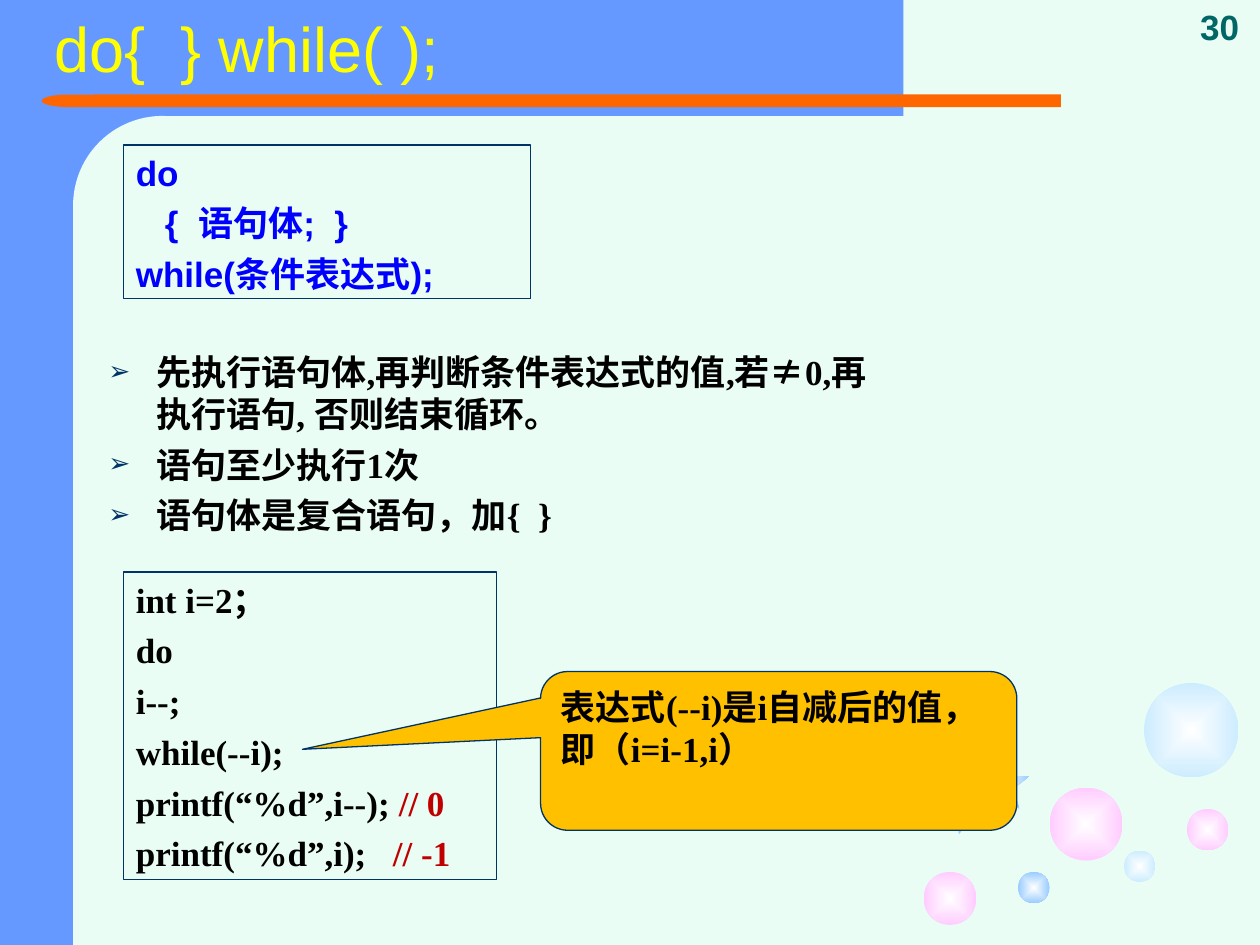
import pptx
import pptx.dml.color
import pptx.enum.shapes
import pptx.enum.text
import pptx.oxml
import pptx.oxml.ns
import pptx.util
import lxml.etree

Inches = pptx.util.Inches
SHAPES = pptx.enum.shapes.MSO_SHAPE
ALIGN = pptx.enum.text.PP_ALIGN
ANCHOR = pptx.enum.text.MSO_ANCHOR

MINT, BLUE, ORANGE, NAVY = "E9FDF4", "6699FF", "FF6600", "003366"
PINK, PALE, SKY = "FFCCFF", "CCECFF", "99CCFF"
RED, BLACK = "C00000", "000000"


def color(value):
    """Turn a hex string into a colour."""
    return pptx.dml.color.RGBColor.from_string(value)


def add_child(parent, tag, **attributes):
    """Append a DrawingML child element."""
    child = lxml.etree.SubElement(parent, pptx.oxml.ns.qn(tag))
    for name, value in attributes.items():
        child.set(name, value)
    return child


def place(part, box):
    """Move a part to a box of left, top, width and height."""
    part.left, part.top, part.width, part.height = map(Inches, box)


def add_bullet(paragraph):
    """Give a paragraph a hanging arrow bullet."""
    properties = paragraph._p.get_or_add_pPr()
    properties.set("marL", str(Inches(0.38)))
    properties.set("indent", str(-Inches(0.38)))
    add_child(add_child(properties, "a:buClr"), "a:srgbClr", val=NAVY)
    add_child(properties, "a:buSzPct", val="75000")
    add_child(properties, "a:buChar", char="➢")


def write_text(part, lines, size=20, font="Times New Roman", ink=BLACK, bold=True,
               align=ALIGN.LEFT, anchor=ANCHOR.TOP, spacing=None, bullets=False):
    """Write lines, each a string or a list of (text, colour) runs."""
    frame = part.text_frame
    frame.word_wrap = True
    frame.auto_size = pptx.enum.text.MSO_AUTO_SIZE.NONE
    frame.vertical_anchor = anchor
    for index, line in enumerate(lines):
        paragraph = frame.add_paragraph() if index else frame.paragraphs[0]
        if bullets:
            add_bullet(paragraph)
        paragraph.alignment = align
        paragraph.space_before = pptx.util.Pt(5 if index else 0)
        if spacing:
            paragraph.line_spacing = spacing
        for text, run_ink in [(line, ink)] if isinstance(line, str) else line:
            run = paragraph.add_run()
            run.text = text
            run.font.name, run.font.size = font, pptx.util.Pt(size)
            run.font.bold = bold
            run.font.color.rgb = color(run_ink)


def add_block(slide, kind, box, fill=None, line=None, adjustments=()):
    """Add a flat shape with an optional fill and outline."""
    block = slide.shapes.add_shape(kind, *map(Inches, box))
    block.shadow.inherit = False
    for index, value in enumerate(adjustments):
        block.adjustments[index] = value
    if fill:
        block.fill.solid()
        block.fill.fore_color.rgb = color(fill)
    else:
        block.fill.background()
    if line:
        block.line.color.rgb = color(line)
        block.line.width = pptx.util.Pt(0.75)
    else:
        block.line.fill.background()
    return block


def add_glow(slide, kind, box, edge, path):
    """Add a shape that fades from a white centre to its edge colour."""
    glow = add_block(slide, kind, box)
    glow.fill.gradient()
    for stop, tint in zip(glow.fill.gradient_stops, ("FFFFFF", edge)):
        stop.color.rgb = color(tint)
    gradient = glow._element.spPr.find(pptx.oxml.ns.qn("a:gradFill"))
    direction = gradient.find(pptx.oxml.ns.qn("a:lin"))
    center = lxml.etree.Element(pptx.oxml.ns.qn("a:path"))
    center.set("path", path)
    add_child(center, "a:fillToRect", l="50000", t="50000", r="50000", b="50000")
    gradient.replace(direction, center)
    return glow


def add_frame(slide, left, top, width, height):
    """Add the blue frame with its rounded corner and the orange rule."""
    add_block(slide, SHAPES.RECTANGLE, (left, top, 1.25, height), BLUE)
    add_block(slide, SHAPES.RECTANGLE, (left + 0.5, top, 6.67, 0.92), BLUE)
    add_block(slide, SHAPES.ROUNDED_RECTANGLE, (left + 0.58, top + 0.92, 1.42, 5.75),
              MINT, adjustments=[0.5])
    add_block(slide, SHAPES.RECTANGLE, (left + 0.75, top + 0.75, 7.67, 0.1), ORANGE)
    rule_end = add_block(slide, SHAPES.FLOWCHART_DELAY,
                         (left + 0.33, top + 0.75, 0.43, 0.1), ORANGE)
    rule_end.rotation = 180
    add_block(slide, SHAPES.RECTANGLE,
              (left + 0.58, top + height - 1.58, 1.42, 1.58), MINT)


def add_bubbles(slide, left, top):
    """Add the bubbles and stars of the lower right corner."""
    for x, y, size, edge in ((1, 0.83, 0.58, PINK), (0, 1.5, 0.42, PINK),
                             (1.59, 1.33, 0.25, PALE), (2.09, 1, 0.33, PINK),
                             (1.75, 0, 0.75, PALE), (0.75, 1.5, 0.25, SKY)):
        add_glow(slide, SHAPES.OVAL, (left + x, top + y, size, size), edge, "shape")
    for x, y, width, height, turn in ((0.42, 0.58, 0.42, 0.42, 0),
                                      (0.07, 0.68, 0.54, 0.5, 270)):
        star = add_glow(slide, SHAPES.STAR_5_POINT,
                        (left + x, top + y, width, height), SKY, "rect")
        star.rotation = turn


def add_heading(slide, title, number, left, top, width):
    """Place the title at the left and the page number at the right."""
    heading = slide.shapes.title
    heading._element.getparent().append(heading._element)
    place(heading, (left + 0.33, top, 8.42, 0.83))
    write_text(heading, [title], size=36, font="Arial", ink="FFFF00", bold=False,
               anchor=ANCHOR.MIDDLE, spacing=0.9)
    page = slide.shapes.add_textbox(*map(Inches, (left + width - 0.64, top, 0.64, 0.43)))
    write_text(page, [number], font="Arial", ink="006666", align=ALIGN.CENTER,
               anchor=ANCHOR.BOTTOM)


def add_rules(slide, lines, box):
    """Place the bulleted rules of the loop."""
    rules = slide.placeholders[1]
    rules._element.getparent().append(rules._element)
    place(rules, box)
    write_text(rules, lines, bullets=True)


def add_code(slide, lines, box, **text_format):
    """Add an outlined box of code."""
    code = add_block(slide, SHAPES.RECTANGLE, box, line=NAVY)
    write_text(code, lines, **text_format)


def add_remark(slide, text, box):
    """Add the callout that points at the loop condition."""
    remark = add_block(slide, SHAPES.ROUNDED_RECTANGULAR_CALLOUT, box, "FFC000", NAVY,
                       (-1, -0.01, 0.17))
    write_text(remark, [text])


def main():
    """Build and save the slide."""
    deck = pptx.Presentation()
    deck.slide_width, deck.slide_height = Inches(10), Inches(7.5)
    slide = deck.slides.add_slide(deck.slide_layouts[1])
    slide.background.fill.solid()
    slide.background.fill.fore_color.rgb = color(MINT)
    add_frame(slide, 0, 0, 10, 7.5)
    add_bubbles(slide, 7.33, 5.42)
    add_heading(slide, "do{  } while( );", "30", 0, 0, 10)
    add_code(slide, ["do", "   {  语句体;  }", "while(条件表达式);"],
             (0.98, 1.15, 3.23, 1.22), font="Arial", ink="0000FF")
    add_rules(slide, ["先执行语句体,再判断条件表达式的值,若≠0,再执行语句, 否则结束循环。",
                      "语句至少执行1次", "语句体是复合语句，加{  }"],
              (0.76, 2.73, 6.46, 1.57))
    add_code(slide, ["int i=2；", "do", "i--;", "while(--i);",
                     [("printf(“%d”,i--); ", BLACK), ("// 0", RED)],
                     [("printf(“%d”,i);   ", BLACK), ("// -1", RED)]],
             (0.98, 4.54, 2.96, 2.44))
    add_remark(slide, "表达式(--i)是i自减后的值，即（i=i-1,i）", (4.29, 5.33, 3.78, 1.26))
    deck.save("out.pptx")


if __name__ == "__main__":
    main()
